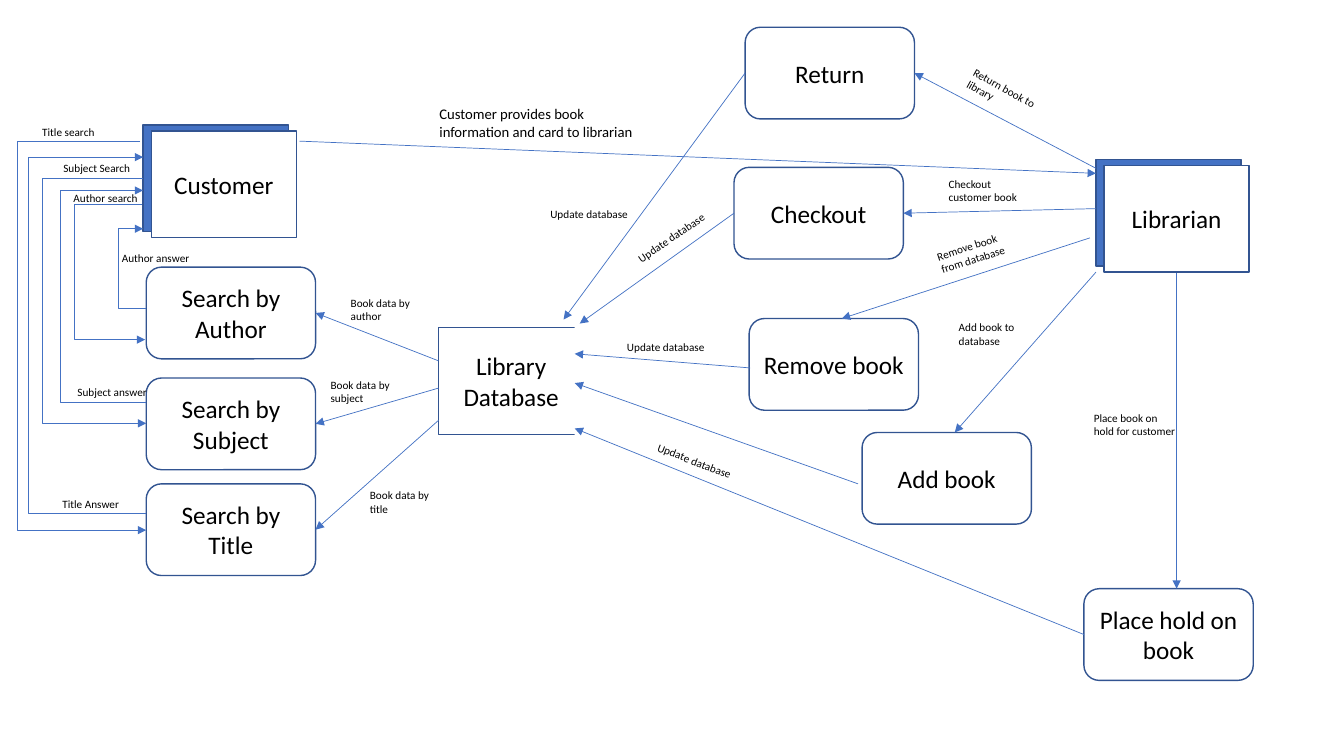
from pptx import Presentation
from pptx import util as u
from pptx.dml import color
from pptx.enum import shapes, text
from pptx.oxml import ns
from lxml import etree

BLUE, EDGE, WHITE, BLACK = "4472C4", "325491", "FFFFFF", "000000"
CARD = (1.44, 1.06)
STEP = (1.68, 0.91)


def paint(form, hue):
    if form is None:
        return
    form.rgb = color.RGBColor.from_string(hue)


def spot(area, x, y):
    return u.Inches(area[0] + x), u.Inches(area[1] + y)


def write(frame, lines, size, align):
    frame.word_wrap = True
    for i, line in enumerate(lines):
        para = frame.paragraphs[0] if i == 0 else frame.add_paragraph()
        para.alignment = align
        run = para.add_run()
        run.text = line
        run.font.name = "Calibri"
        run.font.size = u.Pt(size)
        paint(run.font.color, BLACK)


def box(slide, area, x, y, size, words="", round_=False, fill=WHITE, edge=EDGE):
    kind = shapes.MSO_SHAPE.ROUNDED_RECTANGLE if round_ else shapes.MSO_SHAPE.RECTANGLE
    item = slide.shapes.add_shape(kind, *spot(area, x, y), *map(u.Inches, size))
    item.shadow.inherit = False
    item.fill.solid()
    paint(item.fill.fore_color, fill)
    if edge:
        paint(item.line.color, edge)
        item.line.width = u.Pt(1)
    else:
        item.line.fill.background()
    if words:
        item.text_frame.vertical_anchor = text.MSO_ANCHOR.MIDDLE
        write(item.text_frame, words.split("\n"), 18, text.PP_ALIGN.CENTER)
    return item


def step(slide, area, x, y, words):
    return box(slide, area, x, y, STEP, words, round_=True)


def person(slide, area, x, y, words):
    box(slide, area, x, y, CARD, fill=BLUE)
    box(slide, area, x + 0.08, y + 0.06, CARD, words)


def label(slide, area, x, y, words, wide=0.97, high=0.24, turn=0, size=8):
    item = slide.shapes.add_textbox(*spot(area, x, y), u.Inches(wide), u.Inches(high))
    write(item.text_frame, [words], size, text.PP_ALIGN.LEFT)
    item.text_frame.auto_size = text.MSO_AUTO_SIZE.SHAPE_TO_FIT_TEXT
    item.rotation = turn


def arrow(slide, area, start, end, bend=None):
    """An end is a point (x, y) or a joint (shape, side); bend is the x of the turn."""
    def joint(pin):
        return not isinstance(pin[0], (int, float))

    kind = shapes.MSO_CONNECTOR.STRAIGHT if bend is None else shapes.MSO_CONNECTOR.ELBOW
    ends = [(0, 0) if joint(pin) else pin for pin in (start, end)]
    wire = slide.shapes.add_connector(kind, *spot(area, *ends[0]), *spot(area, *ends[1]))
    if joint(start):
        wire.begin_connect(*start)
    if joint(end):
        wire.end_connect(*end)
    paint(wire.line.color, BLUE)
    wire.line.width = u.Pt(0.5)
    props = wire.element.spPr
    head = etree.SubElement(props.find(ns.qn("a:ln")), ns.qn("a:tailEnd"))
    head.set("type", "triangle")
    etree.SubElement(props, ns.qn("a:effectLst"))
    if bend is not None:
        part = (bend - start[0]) / (end[0] - start[0])
        guide = etree.SubElement(props.prstGeom.get_or_add_avLst(), ns.qn("a:gd"))
        guide.set("name", "adj1")
        guide.set("fmla", f"val {round(part * 100000)}")


# Customer with the three searches
def search(slide, area):
    person(slide, area, 1.42, 0.24, "Customer")
    boxes = [step(slide, area, 1.45, y, "Search by " + word)
             for y, word in ((1.65, "Author"), (2.75, "Subject"), (3.8, "Title"))]
    for words, at, start, bend, end in (
        ("Title search", (0.32, 0.19), (1.39, 0.4), 0.17, (1.45, 4.26)),
        ("Subject Search", (0.53, 0.55), (1.42, 0.77), 0.42, (1.45, 3.2)),
        ("Author search", (0.63, 0.85), (1.41, 1.03), 0.74, (1.44, 2.37)),
        ("Author answer", (1.11, 1.44), (1.45, 2.06), 1.17, (1.42, 1.27)),
        ("Subject answer", (0.67, 2.77), (1.45, 2.99), 0.6, (1.42, 0.89)),
        ("Title Answer", (0.52, 3.88), (1.45, 4.09), 0.28, (1.42, 0.56)),
    ):
        arrow(slide, area, start, end, bend)
        label(slide, area, *at, words)
    return boxes


# Librarian with the five tasks
def desk(slide, area):
    person(slide, area, 3.87, 1.58, "Librarian")
    give, lend, drop, add, hold = [step(slide, area, *part) for part in (
        (0.39, 0.27, "Return"), (0.28, 1.66, "Checkout"), (0.43, 3.16, "Remove book"),
        (1.55, 4.29, "Add book"), (3.75, 5.84, "Place hold on book"))]
    for start, end in (
        ((3.87, 1.67), (give, 3)),
        ((3.87, 2.07), (lend, 3)),
        ((3.81, 2.36), (1.35, 3.16)),
        ((3.87, 2.7), (2.47, 4.29)),
        ((4.67, 2.71), (4.67, 5.84)),
    ):
        arrow(slide, area, start, end)
    for x, y, words, wide, turn in (
        (2.48, 0.79, "Return book to library", 1.04, 29.2),
        (2.31, 1.71, "Checkout customer book", 0.97, 0),
        (2.2, 2.31, "Remove book from database", 0.97, 341.9),
        (2.41, 3.13, "Add book to database", 0.97, 0),
        (3.75, 4.03, "Place book on hold for customer", 1.04, 0),
    ):
        label(slide, area, x, y, words, wide, 0.37, turn)
    return give, lend, hold


# Database, open on its right side, with its flows
def store(slide, area, finds, tasks):
    box(slide, area, 1.35, 3.25, CARD, "Library\nDatabase")
    box(slide, area, 2.7, 3.16, (0.82, 1.27), edge=None)
    give, lend, hold = tasks
    for start, end in (
        ((give, 1), (2.59, 3.17)),
        ((lend, 1), (2.75, 3.21)),
        ((4.44, 3.65), (2.7, 3.51)),
        ((5.51, 4.8), (2.7, 3.8)),
        ((hold, 1), (2.7, 4.25)),
    ):
        arrow(slide, area, start, end)
    for x, y, turn in ((2.36, 2.01, 0), (3.17, 2.22, 325.5), (3.12, 3.33, 0), (3.4, 4.47, 21.2)):
        label(slide, area, x, y, "Update database", 1.04, turn=turn)
    for find, y, at, word in zip(finds, (3.58, 3.85, 4.17),
                                 ((0.38, 2.89), (0.18, 3.7), (0.57, 4.8)),
                                 ("author", "subject", "title")):
        arrow(slide, area, (1.35, y), (find, 3))
        label(slide, area, *at, "Book data by " + word, high=0.37)
    # Customer to librarian
    arrow(slide, area, (-0.03, 1.4), (7.87, 1.72))
    label(slide, area, 1.26, 0.99, "Customer provides book information and card to librarian",
          2.15, 0.45, size=10.5)


def main():
    deck = Presentation()
    deck.slide_width, deck.slide_height = u.Inches(13.33), u.Inches(7.5)
    slide = deck.slides.add_slide(deck.slide_layouts[6])
    finds = search(slide, (0, 1))
    tasks = desk(slide, (7, 0))
    store(slide, (3, 0), finds, tasks)
    deck.save("out.pptx")


if __name__ == "__main__":
    main()
